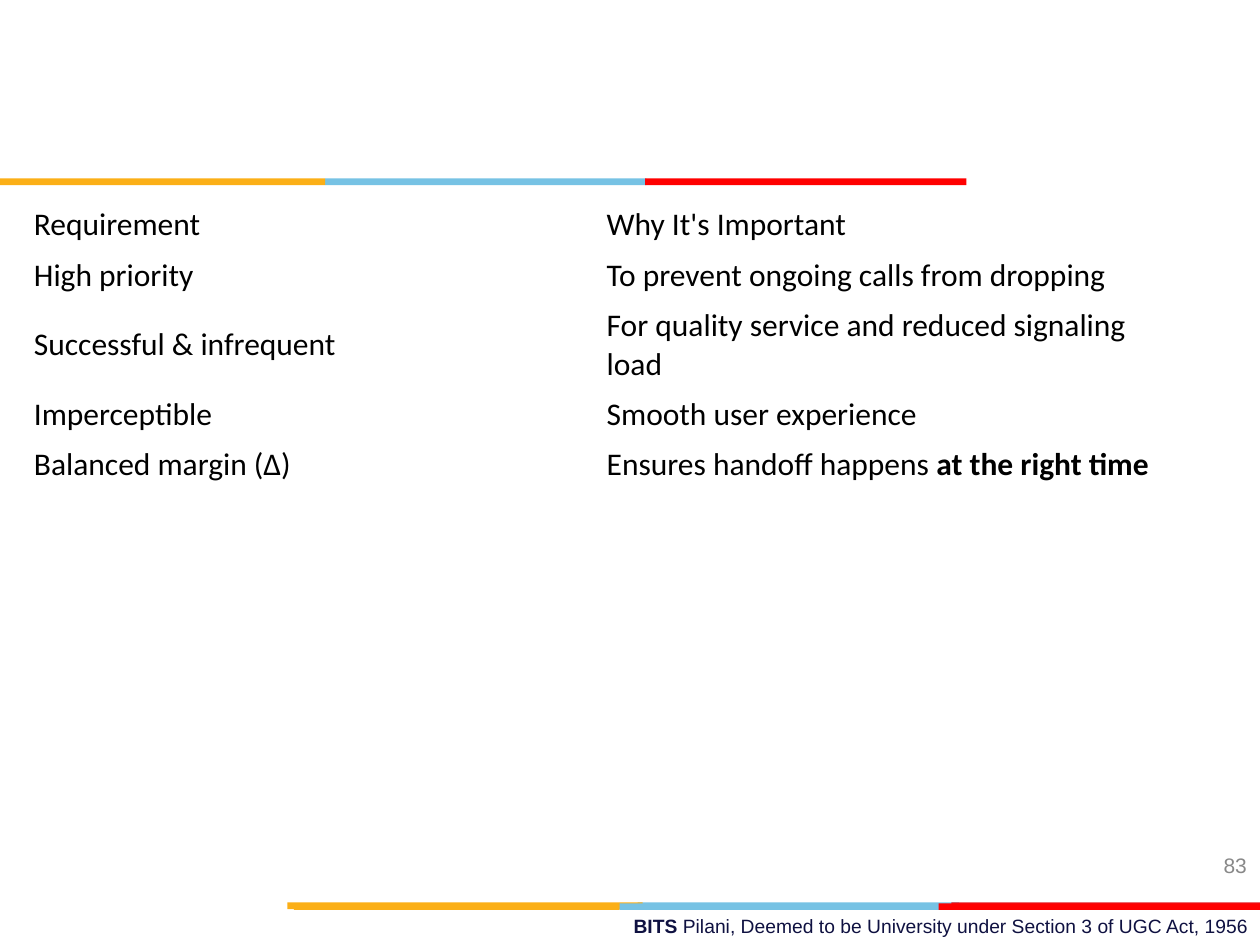
"""Build the handoff requirements slide with its coloured rules and footer."""
from typing import NamedTuple

from pptx import Presentation
from pptx.dml.color import RGBColor
from pptx.enum.shapes import MSO_SHAPE as Preset
from pptx.enum.text import MSO_ANCHOR as Anchor
from pptx.util import Pt

AMBER = RGBColor(0xFB, 0xAF, 0x17)
SKY = RGBColor(0x76, 0xC2, 0xE4)
CRIMSON = RGBColor(0xE2, 0x1C, 0x23)
RED = RGBColor(0xFF, 0x00, 0x00)
NAVY = RGBColor(0x0F, 0x11, 0x41)
GREY = RGBColor(0x88, 0x88, 0x88)
BLACK = RGBColor(0x00, 0x00, 0x00)

BODY = {"name": "Calibri", "size": Pt(18), "bold": False}
FOOTER = {"name": "Arial", "size": Pt(11), "bold": False}
NUMBER = {"name": "Arial", "size": Pt(12), "bold": False}
STRONG = {"bold": True}
PLAIN_TABLE = {"first_row": False, "horz_banding": False}
TIGHT_BOX = {"margin_left": 0, "margin_top": 0, "margin_right": 0,
             "margin_bottom": 0, "word_wrap": True}


class Segment(NamedTuple):
    left: float
    width: float
    color: RGBColor


class Rule(NamedTuple):
    top: float
    segments: tuple[Segment, ...]


class Words(NamedTuple):
    text: str
    strong: bool = False


class Label(NamedTuple):
    left: float
    top: float
    width: float
    height: float
    words: tuple[Words, ...]
    style: dict
    color: RGBColor


class Requirement(NamedTuple):
    height: float
    name: tuple[Words, ...]
    reason: tuple[Words, ...]


RULE_HEIGHT = 3.8
RULES = (
    Rule(515.7, (Segment(364.3, 183.6, SKY), Segment(543.6, 176.4, CRIMSON),
                 Segment(164.2, 203, AMBER))),
    Rule(516.2, (Segment(354, 183.6, SKY), Segment(168, 186, AMBER),
                 Segment(536.4, 183.6, RED))),
    Rule(102, (Segment(185.8, 183.6, SKY), Segment(0, 185.8, AMBER),
               Segment(368.6, 183.6, RED))),
)
LABELS = (
    Label(699.2, 487.4, 17.3, 15.1, (Words("83"),), NUMBER, GREY),
    Label(362, 522.7, 353, 14.4,
          (Words("BITS ", True),
           Words("Pilani, Deemed to be University under Section 3 of UGC Act, 1956")),
          FOOTER, NAVY),
)
REQUIREMENTS = (
    Requirement(29, (Words("Requirement"),), (Words("Why It's Important"),)),
    Requirement(29, (Words("High priority"),),
                (Words("To prevent ongoing calls from dropping"),)),
    Requirement(50.4, (Words("Successful & infrequent"),),
                (Words("For quality service and reduced signaling load"),)),
    Requirement(29, (Words("Imperceptible"),), (Words("Smooth user experience"),)),
    Requirement(29, (Words("Balanced margin (Δ)"),),
                (Words("Ensures handoff happens "), Words("at the right time", True))),
)


def apply_format(target, values: dict) -> None:
    for attribute, value in values.items():
        setattr(target, attribute, value)


def write(paragraph, words: tuple[Words, ...], style: dict, color: RGBColor) -> None:
    for part in words:
        run = paragraph.add_run()
        run.text = part.text
        apply_format(run.font, style | STRONG if part.strong else style)
        run.font.color.rgb = color


def draw_rule(slide, rule: Rule) -> None:
    for segment in rule.segments:
        bar = slide.shapes.add_shape(Preset.RECTANGLE, Pt(segment.left), Pt(rule.top),
                                     Pt(segment.width), Pt(RULE_HEIGHT))
        bar.shadow.inherit = False
        bar.fill.solid()
        bar.fill.fore_color.rgb = segment.color
        bar.line.fill.background()


def draw_label(slide, label: Label) -> None:
    frame = slide.shapes.add_textbox(Pt(label.left), Pt(label.top),
                                     Pt(label.width), Pt(label.height)).text_frame
    apply_format(frame, TIGHT_BOX)
    write(frame.paragraphs[0], label.words, label.style, label.color)


def draw_requirements(slide, requirements: tuple[Requirement, ...]) -> None:
    total = sum(requirement.height for requirement in requirements)
    grid = slide.shapes.add_table(len(requirements), 2, Pt(12.2), Pt(113.8),
                                  Pt(654.6), Pt(total)).table
    apply_format(grid, PLAIN_TABLE)
    for row, requirement in zip(grid.rows, requirements):
        row.height = Pt(requirement.height)
        for cell, words in zip(row.cells, (requirement.name, requirement.reason)):
            cell.fill.background()
            cell.vertical_anchor = Anchor.MIDDLE
            write(cell.text_frame.paragraphs[0], words, BODY, BLACK)


def main() -> None:
    deck = Presentation()
    apply_format(deck, {"slide_width": Pt(720), "slide_height": Pt(540)})
    slide = deck.slides.add_slide(deck.slide_layouts[6])
    for rule in RULES:
        draw_rule(slide, rule)
    for label in LABELS:
        draw_label(slide, label)
    draw_requirements(slide, REQUIREMENTS)
    deck.save("out.pptx")


if __name__ == "__main__":
    main()
